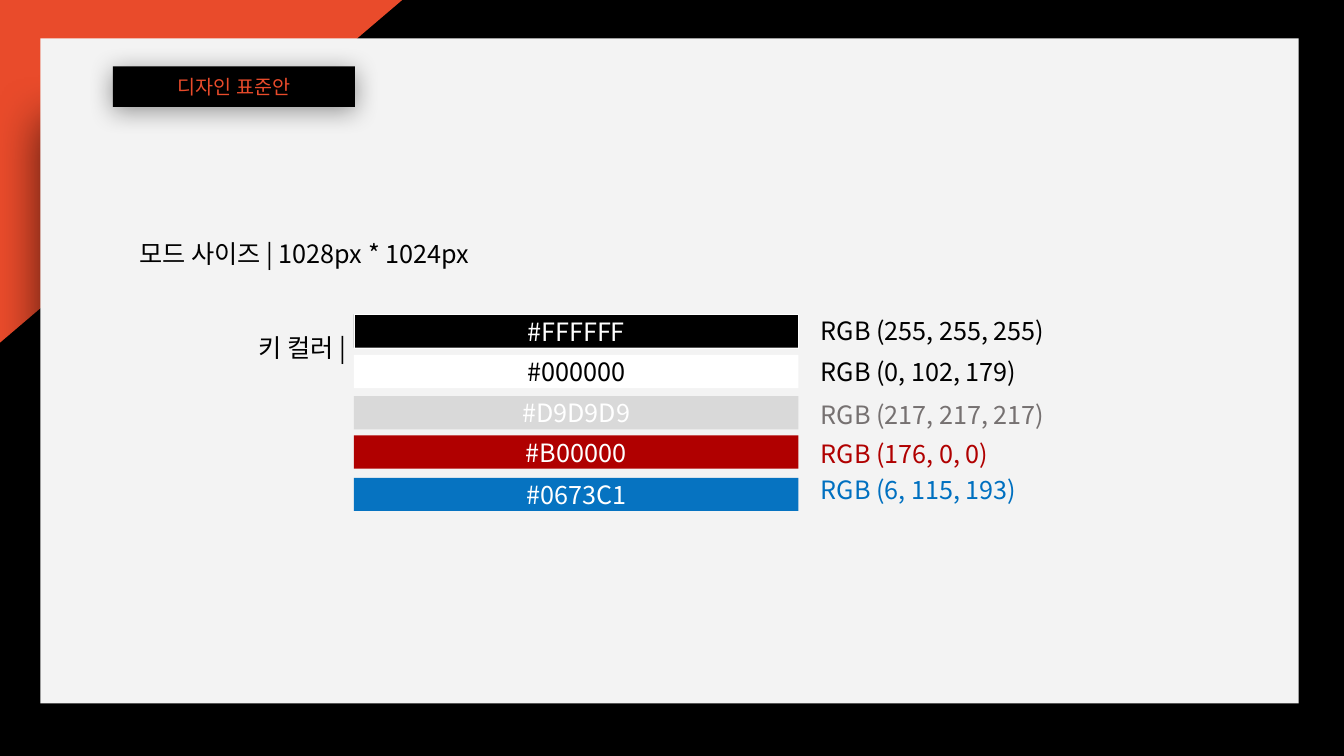
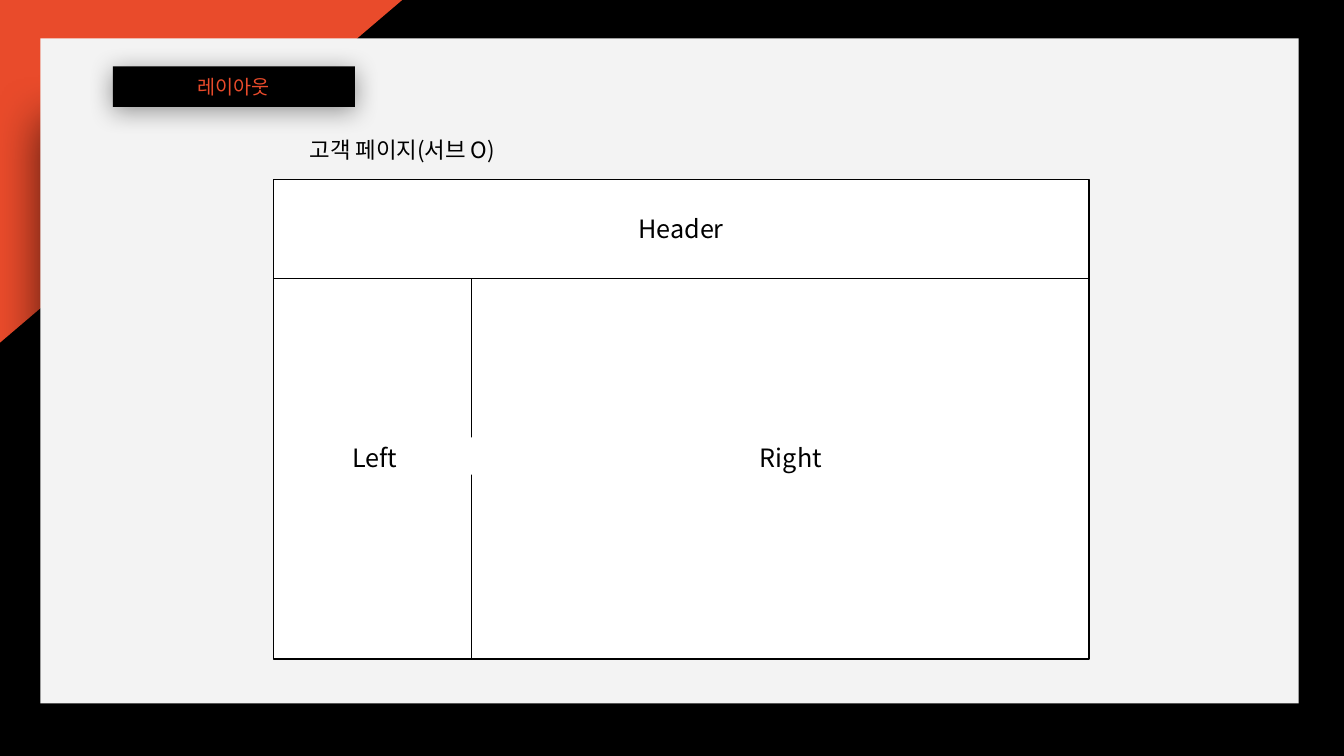
import pptx
import pptx.dml.color
import pptx.enum.shapes
import pptx.enum.text
import pptx.oxml
import pptx.oxml.ns
import pptx.util

PX = 9144
FONT = "Noto Sans CJK KR"
HUES = {
    "black": "000000", "white": "FFFFFF", "coral": "E94B2B",
    "panel": "F3F3F3", "silver": "D9D9D9", "gray": "767171",
    "red": "B00000", "blue": "0673C1", "azure": "0070C0",
}
KIND = pptx.enum.shapes.MSO_SHAPE
SIDE = pptx.enum.text.PP_ALIGN
HOLD = pptx.enum.text.MSO_ANCHOR
FIT = pptx.enum.text.MSO_AUTO_SIZE.SHAPE_TO_FIT_TEXT
INSET = {
    "margin_left": 11 * PX, "margin_right": 11 * PX,
    "margin_top": 6 * PX, "margin_bottom": 6 * PX,
}
GROW = {"auto_size": FIT, "vertical_anchor": HOLD.TOP}
WIDE = {**GROW, **INSET}
LOOSE = {**WIDE, "word_wrap": False}


def put(item, values):
    for name, value in values.items():
        setattr(item, name, value)


def color(name):
    return pptx.dml.color.RGBColor.from_string(HUES[name])


class Deck:
    def __init__(self):
        self.show = pptx.Presentation()
        put(self.show, {"slide_width": 1333 * PX, "slide_height": 750 * PX})

    def slide(self, title):
        self.page = self.show.slides.add_slide(self.show.slide_layouts[6])
        ground = self.page.background.fill
        ground.solid()
        ground.fore_color.rgb = color("black")
        corner = self.shape((0, 0, 399, 340), "coral", KIND.RIGHT_TRIANGLE)
        corner._element.spPr.get_or_add_xfrm().set("flipV", "1")
        self.shadow(corner, 40, 23, 19, 45)
        panel = self.shape((40, 38, 1248, 660), "panel")
        self.shadow(panel, 64, 33, 58, 90)
        tab = self.shape((112, 66, 240, 40), "black")
        self.shadow(tab, 40, 18, 3, 90)
        self.label(tab, title, "coral", 14)

    def shape(self, box, fill, kind=KIND.RECTANGLE, edge=None, width=1):
        item = self.page.shapes.add_shape(kind, *(n * PX for n in box))
        item.shadow.inherit = False
        item.fill.solid()
        item.fill.fore_color.rgb = color(fill)
        if edge:
            self.stroke(item, edge, width)
        else:
            item.line.fill.background()
        return item

    def stroke(self, item, hue, width):
        item.line.color.rgb = color(hue)
        item.line.width = pptx.util.Pt(width)

    def shadow(self, item, alpha, blur, far, angle):
        point = pptx.util.Pt(1)
        item._element.spPr.find(pptx.oxml.ns.qn("a:effectLst")).append(
            pptx.oxml.parse_xml(
                f'<a:outerShdw {pptx.oxml.ns.nsdecls("a")} blurRad="{blur * point}" '
                f'dist="{far * point}" dir="{angle * 60000}" algn="ctr" rotWithShape="0">'
                f'<a:srgbClr val="{HUES["black"]}"><a:alpha val="{alpha * 1000}"/>'
                "</a:srgbClr></a:outerShdw>"
            )
        )

    def label(self, item, words, hue="black", size=18, frame=None, para=None):
        text = item.text_frame
        put(text, {"word_wrap": True, "vertical_anchor": HOLD.MIDDLE, **(frame or {})})
        line = text.paragraphs[0]
        put(line, {"alignment": SIDE.CENTER, **(para or {})})
        run = line.add_run()
        run.text = words
        put(run.font, {"name": FONT, "size": pptx.util.Pt(size)})
        run.font.color.rgb = color(hue)
        east = pptx.oxml.parse_xml(
            f'<a:ea {pptx.oxml.ns.nsdecls("a")} typeface="{FONT}"/>'
        )
        run._r.get_or_add_rPr().append(east)

    def text(self, box, words, hue="black", size=18, frame=GROW, para=None):
        item = self.page.shapes.add_textbox(*(n * PX for n in box))
        self.label(item, words, hue, size, frame, para)

    def rule(self, *ends):
        item = self.page.shapes.add_connector(
            pptx.enum.shapes.MSO_CONNECTOR.STRAIGHT, *(n * PX for n in ends)
        )
        self.stroke(item, "black", 0.5)
        item._element.spPr.append(
            pptx.oxml.parse_xml(f'<a:effectLst {pptx.oxml.ns.nsdecls("a")}/>')
        )


def colors(deck):
    deck.slide("디자인 표준안")
    left = {"alignment": SIDE.LEFT}
    deck.text((127, 170, 375, 85), "모드 사이즈 | 1028px * 1024px",
              frame=LOOSE, para={**left, "line_spacing": 3.0})
    deck.text((222, 264, 132, 85), "키 컬러 |",
              frame=LOOSE, para={"alignment": SIDE.RIGHT, "line_spacing": 3.0})
    rows = [
        (312, "black", "#FFFFFF", "white", 307, "RGB (255, 255, 255)", "black"),
        (352, "white", "#000000", "black", 348, "RGB (0, 102, 179)", "black"),
        (393, "silver", "#D9D9D9", "white", 390, "RGB (217, 217, 217)", "gray"),
        (432, "red", "#B00000", "white", 429, "RGB (176, 0, 0)", "red"),
        (474, "blue", "#0673C1", "white", 465, "RGB (6, 115, 193)", "azure"),
    ]
    for top, fill, code, ink, level, mix, hue in rows:
        edge = "white" if fill == "black" else None
        bar = deck.shape((351, top, 441, 33), fill, edge=edge, width=0.25)
        deck.label(bar, code, ink, frame=INSET)
        deck.text((803, level, 325, 42), mix, hue, frame=WIDE, para=left)


def layout(deck):
    deck.slide("레이아웃")
    deck.text((283, 130, 232, 37), "고객 페이지(서브 O)", size=16)
    x, y, wide, high = 271, 178, 809, 476
    split, fold = 468, 276
    deck.shape((x, y, wide, high), "white", edge="black")
    deck.rule(x, fold, x + wide, fold)
    deck.rule(split, fold, split, y + high)
    for words, start, top, span in [
        ("Header", 524, 207, 303),
        ("Right", 633, 434, 303),
        ("Left", 273, 434, 197),
    ]:
        deck.label(deck.shape((start, top, span, 37), "white"), words, frame=GROW)


def main():
    deck = Deck()
    colors(deck)
    layout(deck)
    deck.show.save("out.pptx")


if __name__ == "__main__":
    main()
